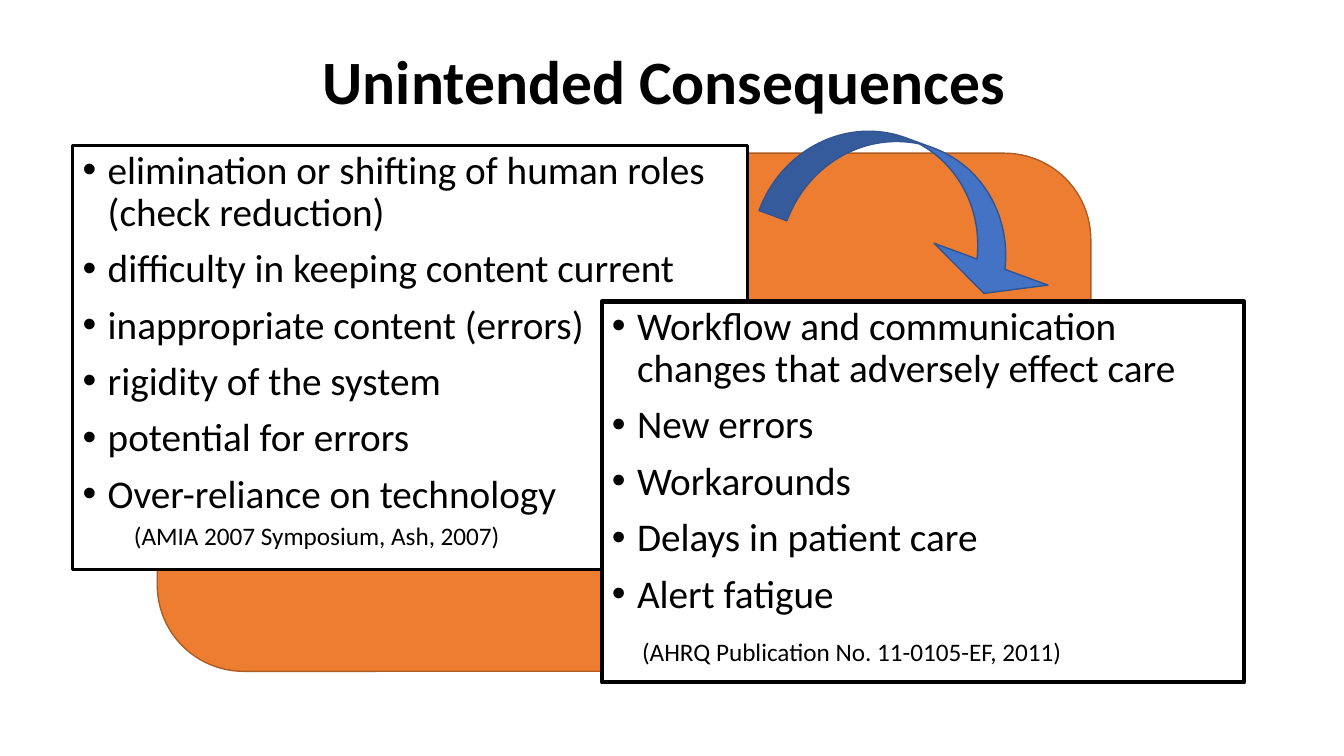
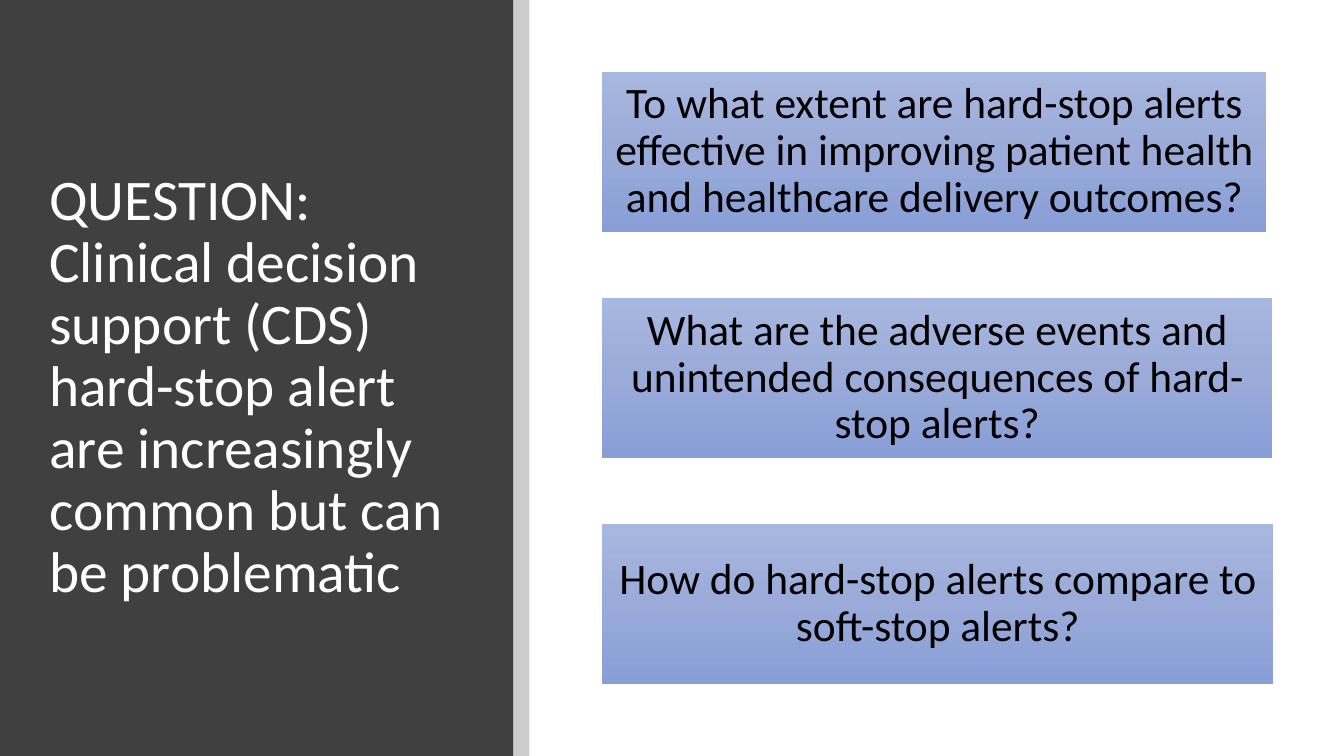
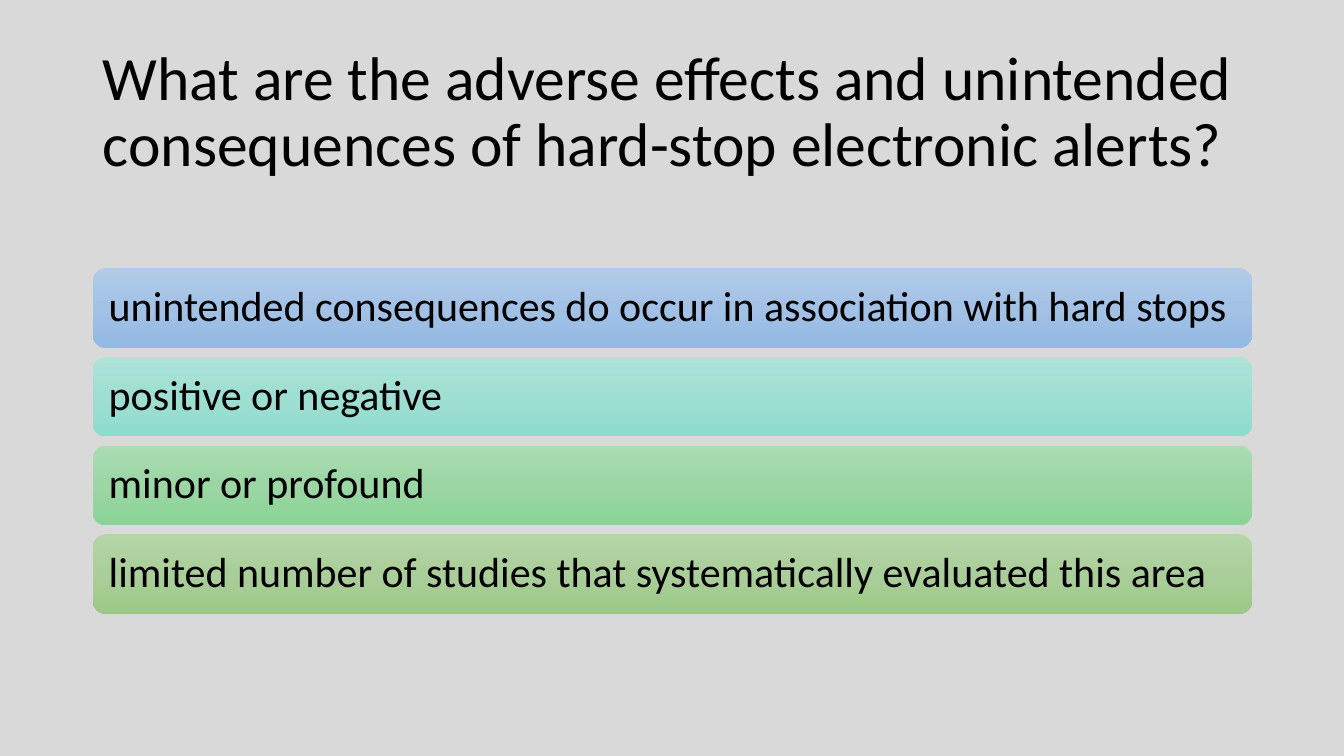
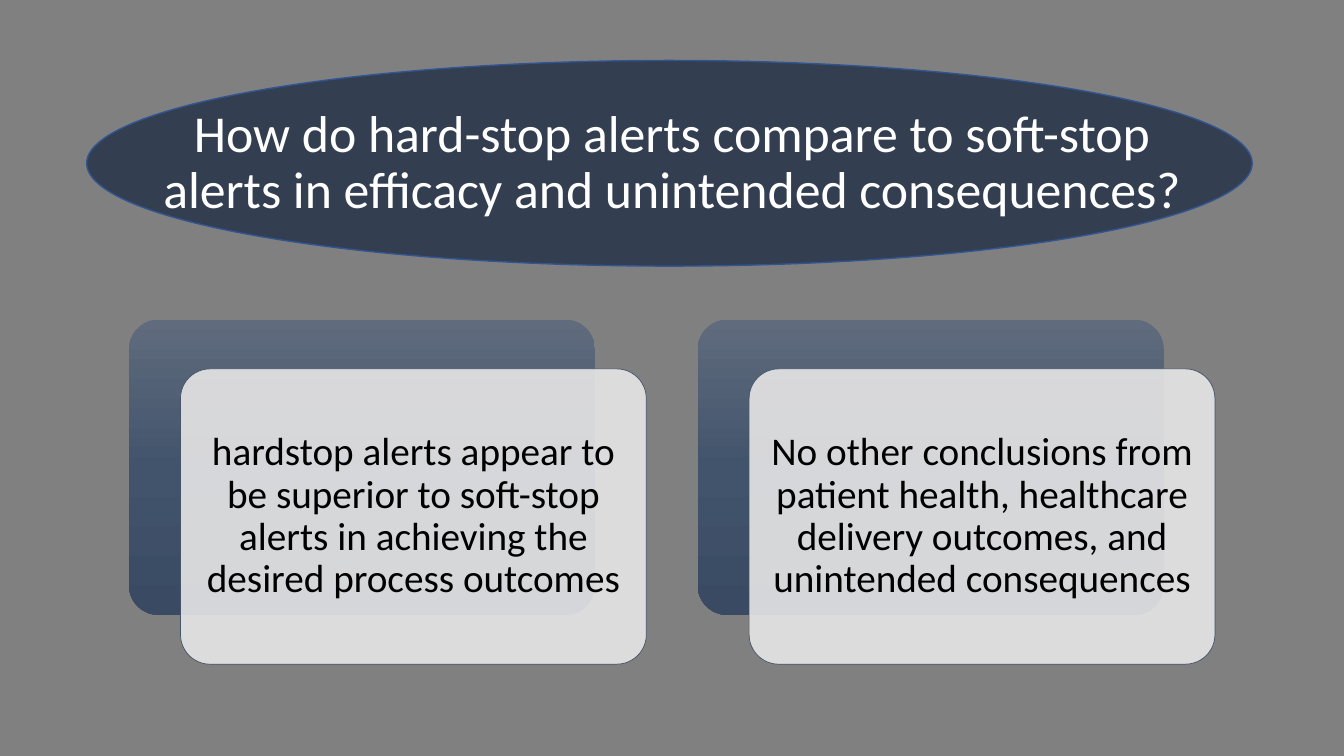
from copy import deepcopy

from lxml import etree
from pptx import Presentation
from pptx import util as u
from pptx.dml.color import RGBColor
from pptx.enum import shapes, text
from pptx.oxml.ns import qn

FONT = "Calibri"
BLACK, WHITE = "000000", "FFFFFF"
ORANGE, ORANGE_EDGE = "ED7D31", "AF5C24"
BLUE, BLUE_EDGE = "4472C4", "325491"
CHARCOAL, LIGHT_GREY, MID_GREY = "404040", "D9D9D9", "808080"
NAVY, SLATE, PALE = "333F50", "44546A", "E7E6E6"
PERIWINKLE_FADE = ("A8B7DF", "9AABD9", "889ED7")
SLATE_FADE = ("606B7D", "42546C", "394A62")
BAR_FADES = [
    ("B1CBE9", "A3C1E5", "93B9E4"),
    ("ADE3D9", "9FDED2", "8EDCCE"),
    ("AADCB2", "9CD6A5", "8AD396"),
    ("B5D5A7", "AACE9A", "9CC987"),
]
SHAPE = shapes.MSO_SHAPE
LEFT, CENTER = text.PP_ALIGN.LEFT, text.PP_ALIGN.CENTER
TOP, MIDDLE = text.MSO_ANCHOR.TOP, text.MSO_ANCHOR.MIDDLE


def rgb(value):
    """Turn a hex string into a colour."""
    return RGBColor.from_string(value)


def inches(box):
    """Turn a box of numbers into lengths."""
    return [u.Inches(value) for value in box]


def fill_gradient(shape, colors):
    """Fill a shape from top to bottom with evenly spaced colours."""
    shape.fill.gradient()
    shape.fill.gradient_angle = 270
    stop_list = shape.element.spPr.find(".//" + qn("a:gsLst"))
    while len(stop_list) < len(colors):
        stop_list.insert(1, deepcopy(stop_list[0]))
    for index, (stop, color) in enumerate(zip(shape.fill.gradient_stops, colors)):
        stop.position = index / (len(colors) - 1)
        stop.color.rgb = rgb(color)


def add_shape(slide, kind, box, fill, line=None, line_width=1, opacity=100, adjustments=()):
    """Add a preset shape with a plain or gradient fill."""
    shape = slide.shapes.add_shape(kind, *inches(box))
    shape.shadow.inherit = False
    for index, value in enumerate(adjustments):
        shape.adjustments[index] = value
    if isinstance(fill, tuple):
        fill_gradient(shape, fill)
    else:
        shape.fill.solid()
        shape.fill.fore_color.rgb = rgb(fill)
        if opacity < 100:
            color = shape.element.spPr.find(".//" + qn("a:srgbClr"))
            etree.SubElement(color, qn("a:alpha"), val=str(opacity * 1000))
    if line:
        shape.line.color.rgb = rgb(line)
        shape.line.width = u.Pt(line_width)
    else:
        shape.line.fill.background()
    return shape


def add_bullet(paragraph):
    """Give a paragraph a hanging bullet."""
    properties = paragraph._p.get_or_add_pPr()
    properties.set("marL", str(u.Inches(0.25)))
    properties.set("indent", str(-u.Inches(0.25)))
    etree.SubElement(properties, qn("a:buFont"), typeface="Arial")
    etree.SubElement(properties, qn("a:buChar"), char="•")


def write(shape, lines, size, color=BLACK, bold=False, align=LEFT, anchor=MIDDLE,
          insets=(0.1, 0.05), spacing=0.9, bullets=False, wrap=True):
    """Write one paragraph for each line into a shape."""
    frame = shape.text_frame
    frame.word_wrap = wrap
    frame.vertical_anchor = anchor
    frame.margin_left = frame.margin_right = u.Inches(insets[0])
    frame.margin_top = frame.margin_bottom = u.Inches(insets[1])
    for index, line in enumerate(lines):
        paragraph = frame.add_paragraph() if index else frame.paragraphs[0]
        paragraph.text = line
        paragraph.alignment = align
        paragraph.line_spacing = spacing
        if index:
            paragraph.space_before = u.Pt(10)
        if bullets:
            add_bullet(paragraph)
        for run in paragraph.runs:
            run.font.name = FONT
            run.font.size = u.Pt(size)
            run.font.bold = bold
            run.font.color.rgb = rgb(color)


def add_text(slide, box, line, size, **style):
    """Add a text box with one paragraph."""
    write(slide.shapes.add_textbox(*inches(box)), [line], size, **style)


def add_slide(presentation, background=WHITE):
    """Add a blank slide with a plain background."""
    slide = presentation.slides.add_slide(presentation.slide_layouts[6])
    slide.background.fill.solid()
    slide.background.fill.fore_color.rgb = rgb(background)
    return slide


def add_bullet_panel(slide, box, lines, line_width, citation, citation_offset):
    """Add an outlined list with its citation near the bottom."""
    panel = add_shape(slide, SHAPE.RECTANGLE, box, WHITE, BLACK, line_width)
    write(panel, lines, 28, anchor=TOP, bullets=True)
    left, top = box[0] + citation_offset[0], box[1] + citation_offset[1]
    add_text(slide, (left, top, 4.4, 0.4), citation, 18, anchor=TOP, spacing=1, wrap=False)


def add_question_boxes(slide, box, questions):
    """Spread question boxes evenly down a region."""
    left, top, _, height = box
    box_height = 1.59
    step = (height - box_height) / (len(questions) - 1)
    for index, (question, width) in enumerate(questions):
        place = (left, top + index * step, width, box_height)
        shape = add_shape(slide, SHAPE.RECTANGLE, place, PERIWINKLE_FADE)
        write(shape, [question], 31, align=CENTER, insets=(0.02, 0.02))


def add_bars(slide, box, lines):
    """Stack rounded bars, one for each finding."""
    left, top, width, height = box
    bar_height = 0.79
    step = (height - bar_height) / (len(lines) - 1)
    for index, (line, fade) in enumerate(zip(lines, BAR_FADES)):
        place = (left, top + index * step, width, bar_height)
        bar = add_shape(slide, SHAPE.ROUNDED_RECTANGLE, place, fade)
        write(bar, [line], 30, insets=(0.12, 0.12))


def add_layered_card(slide, box, line):
    """Add a dark card with a pale text card shifted over it."""
    left, top, width, height = box
    add_shape(slide, SHAPE.ROUNDED_RECTANGLE, box, SLATE_FADE, adjustments=[0.1])
    front = add_shape(slide, SHAPE.ROUNDED_RECTANGLE, (left + 0.51, top + 0.49, width, height),
                      PALE, SLATE, 0.5, opacity=90, adjustments=[0.1])
    write(front, [line], 28, align=CENTER, insets=(0.12, 0.12))


def build_consequences(presentation):
    """Build the slide on unintended consequences."""
    slide = add_slide(presentation)
    add_shape(slide, SHAPE.ROUNDED_RECTANGLE, (1.56, 1.52, 9.26, 5.14), ORANGE, ORANGE_EDGE)
    add_text(slide, (0.84, 0.11, 11.5, 1.45), "Unintended Consequences", 44,
             bold=True, align=CENTER)
    add_bullet_panel(slide, (0.72, 1.44, 6.69, 4.21), [
        "elimination or shifting of human roles (check reduction)",
        "difficulty in keeping content current",
        "inappropriate content (errors)",
        "rigidity of the system",
        "potential for errors",
        "Over-reliance on technology",
    ], 2.25, "(AMIA 2007 Symposium, Ash, 2007)", (0.51, 3.67))
    add_bullet_panel(slide, (5.97, 2.99, 6.37, 3.78), [
        "Workflow and communication changes that adversely effect care",
        "New errors",
        "Workarounds",
        "Delays in patient care",
        "Alert fatigue",
    ], 3, "(AHRQ Publication No. 11-0105-EF, 2011)", (0.3, 3.27))
    arrow = add_shape(slide, SHAPE.CURVED_DOWN_ARROW, (7.64, 1.46, 2.98, 1.18),
                      BLUE, BLUE_EDGE, adjustments=[0.25, 1.02, 0.25])
    arrow.rotation = 20.2


def build_questions(presentation):
    """Build the slide with a dark side band and three questions."""
    slide = add_slide(presentation)
    add_shape(slide, SHAPE.RECTANGLE, (0, 0, 5.09, 7.5), CHARCOAL)
    add_text(slide, (0.39, 0.89, 4.47, 5.91),
             "QUESTION:\nClinical decision support (CDS) hard-stop alert are "
             "increasingly common but can be problematic", 41, color=WHITE)
    add_shape(slide, SHAPE.RECTANGLE, (5.09, 0, 0.16, 7.5), BLACK, opacity=20)
    add_question_boxes(slide, (5.97, 0.71, 6.66, 6.08), [
        ("To what extent are hard-stop alerts effective in improving patient health "
         "and healthcare delivery outcomes?", 6.59),
        ("What are the adverse events and unintended consequences of hard-stop alerts?", 6.65),
        ("How do hard-stop alerts compare to soft-stop alerts?", 6.66),
    ])


def build_adverse_effects(presentation):
    """Build the slide with findings on adverse effects."""
    slide = add_slide(presentation, LIGHT_GREY)
    add_text(slide, (0.92, 0.4, 11.5, 1.45),
             "What are the adverse effects and unintended consequences of "
             "hard-stop electronic alerts?", 44)
    add_bars(slide, (0.92, 2.66, 11.5, 3.43), [
        "unintended consequences do occur in association with hard stops",
        "positive or negative",
        "minor or profound",
        "limited number of studies that systematically evaluated this area",
    ])


def build_comparison(presentation):
    """Build the slide comparing hard-stop and soft-stop alerts."""
    slide = add_slide(presentation, MID_GREY)
    add_shape(slide, SHAPE.OVAL, (0.86, 0.6, 11.56, 2.04), NAVY, BLUE_EDGE)
    add_text(slide, (1.29, 0.9, 10.75, 1.45),
             "How do hard-stop alerts compare to soft-stop alerts in efficacy and "
             "unintended consequences?", 37, color=WHITE, align=CENTER)
    conclusions = [
        "hardstop alerts appear to be superior to soft-stop alerts in achieving "
        "the desired process outcomes",
        "No other conclusions from patient health, healthcare delivery outcomes, "
        "and unintended consequences",
    ]
    for index, conclusion in enumerate(conclusions):
        add_layered_card(slide, (1.28 + index * 5.64, 3.17, 4.62, 2.93), conclusion)


def main():
    """Build and save the presentation."""
    presentation = Presentation()
    presentation.slide_width = u.Inches(13.33)
    presentation.slide_height = u.Inches(7.5)
    for build in (build_consequences, build_questions, build_adverse_effects, build_comparison):
        build(presentation)
    presentation.save("out.pptx")


if __name__ == "__main__":
    main()
